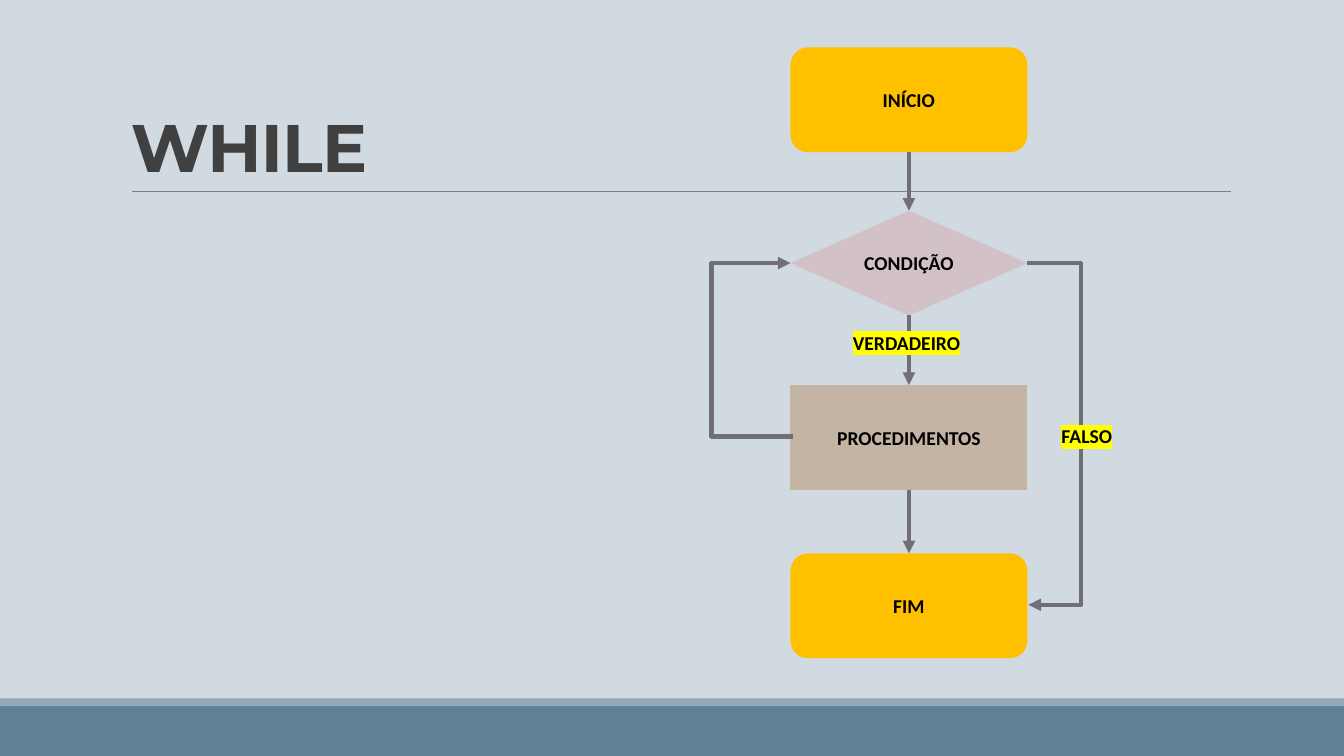
from dataclasses import dataclass
from typing import Optional

from lxml.etree import SubElement
from pptx import Presentation
from pptx.dml.color import RGBColor
from pptx.enum.shapes import MSO_CONNECTOR as Link, MSO_SHAPE as Shape
from pptx.enum.text import MSO_ANCHOR as Anchor, PP_ALIGN as Align
from pptx.oxml.ns import qn
from pptx.util import Inches, Pt


@dataclass(frozen=True)
class Theme:
    background: str = "D1D9E1"
    footer: str = "618197"
    footer_edge: str = "92A9B9"
    rule: str = "808080"
    title: str = "404040"
    ink: str = "000000"
    terminal: str = "FFC000"
    decision: str = "D2C2C7"
    process: str = "C4B4A3"
    arrow: str = "6F6F74"
    highlight: str = "FFFF00"
    title_font: str = "Montserrat"
    body_font: str = "Calibri"
    title_size: float = 48
    body_size: float = 14
    rule_width: float = 0.5
    arrow_width: float = 3


@dataclass(frozen=True)
class Step:
    text: str
    kind: Shape
    top: float
    color: str


@dataclass(frozen=True)
class Band:
    top: float
    height: float
    color: str


@dataclass(frozen=True)
class Label:
    text: str
    left: float
    top: float
    width: float


@dataclass(frozen=True)
class Detour:
    start: tuple[float, float]
    end: tuple[float, float]
    bend: float
    arrow_end: str


THEME = Theme()
WIDTH, HEIGHT = 13.33, 7.5
STEP_LEFT, STEP_WIDTH, STEP_HEIGHT = 7.84, 2.35, 1.04
LABEL_HEIGHT = 0.34
TOP, BOTTOM = 0, 2

BANDS = [Band(7, 0.5, THEME.footer), Band(6.93, 0.07, THEME.footer_edge)]
STEPS = [
    Step("INÍCIO", Shape.FLOWCHART_ALTERNATE_PROCESS, 0.47, THEME.terminal),
    Step("CONDIÇÃO", Shape.FLOWCHART_DECISION, 2.09, THEME.decision),
    Step("PROCEDIMENTOS", Shape.FLOWCHART_PROCESS, 3.82, THEME.process),
    Step("FIM", Shape.FLOWCHART_ALTERNATE_PROCESS, 5.49, THEME.terminal),
]
DETOURS = [
    Detour((10.19, 2.61), (10.2, 6), 10.73, "a:tailEnd"),
    Detour((7.84, 2.61), (7.86, 4.33), 7.06, "a:headEnd"),
]
LABELS = [Label("VERDADEIRO", 8.36, 3.23, 1.34), Label("FALSO", 10.43, 4.16, 0.76)]


def color_of(value: str) -> RGBColor:
    return RGBColor.from_string(value)


def write(box, text: str, align: Align, anchor: Anchor, color: str = THEME.ink,
          font: str = THEME.body_font, size: float = THEME.body_size):
    frame = box.text_frame
    frame.word_wrap = True
    frame.vertical_anchor = anchor
    para = frame.paragraphs[0]
    para.alignment = align
    span = para.add_run()
    span.text = text
    for name, value in {"name": font, "size": Pt(size), "bold": True}.items():
        setattr(span.font, name, value)
    span.font.color.rgb = color_of(color)
    return span


def draw_shape(page, kind: Shape, left: float, top: float, width: float,
               height: float, color: str):
    box = page.shapes.add_shape(kind, *map(Inches, (left, top, width, height)))
    box.shadow.inherit = False
    box.fill.solid()
    box.fill.fore_color.rgb = color_of(color)
    box.line.fill.background()
    return box


def draw_line(page, kind: Link, start: tuple[float, float], end: tuple[float, float],
              color: str, width: float, arrow_end: Optional[str] = None):
    line = page.shapes.add_connector(kind, *map(Inches, (*start, *end)))
    line.line.color.rgb = color_of(color)
    line.line.width = Pt(width)
    properties = line._element.spPr
    if arrow_end:
        SubElement(properties.find(qn("a:ln")), qn(arrow_end), type="triangle")
    SubElement(properties, qn("a:effectLst"))
    return line


def draw_step(page, step: Step):
    box = draw_shape(page, step.kind, STEP_LEFT, step.top, STEP_WIDTH, STEP_HEIGHT, step.color)
    write(box, step.text, Align.CENTER, Anchor.MIDDLE)
    return box


def draw_flow(page, upper, lower) -> None:
    center = STEP_LEFT + STEP_WIDTH / 2
    line = draw_line(page, Link.STRAIGHT, (center, 0), (center, 1),
                     THEME.arrow, THEME.arrow_width, "a:tailEnd")
    line.begin_connect(upper, BOTTOM)
    line.end_connect(lower, TOP)


def draw_detour(page, detour: Detour) -> None:
    line = draw_line(page, Link.ELBOW, detour.start, detour.end,
                     THEME.arrow, THEME.arrow_width, detour.arrow_end)
    ratio = (detour.bend - detour.start[0]) / (detour.end[0] - detour.start[0])
    geometry = line._element.spPr.find(qn("a:prstGeom"))
    guides = geometry.find(qn("a:avLst"))
    SubElement(guides, qn("a:gd"), name="adj1", fmla=f"val {round(ratio * 100000)}")


def draw_label(page, label: Label) -> None:
    box = page.shapes.add_textbox(
        *map(Inches, (label.left, label.top, label.width, LABEL_HEIGHT)))
    span = write(box, label.text, Align.LEFT, Anchor.TOP)
    properties = span.font._element
    highlight = SubElement(properties, qn("a:highlight"))
    SubElement(highlight, qn("a:srgbClr"), val=THEME.highlight)
    properties.find(qn("a:solidFill")).addnext(highlight)


def draw_title(page, text: str) -> None:
    box = page.shapes.add_textbox(*map(Inches, (1.2, 0.31, 11, 1.59)))
    span = write(box, text, Align.LEFT, Anchor.BOTTOM, THEME.title,
                 THEME.title_font, THEME.title_size)
    span.font._element.set("spc", "-50")
    box.text_frame.paragraphs[0].line_spacing = 0.85


def main() -> None:
    deck = Presentation()
    deck.slide_width, deck.slide_height = Inches(WIDTH), Inches(HEIGHT)
    page = deck.slides.add_slide(deck.slide_layouts[6])
    page.background.fill.solid()
    page.background.fill.fore_color.rgb = color_of(THEME.background)
    for band in BANDS:
        draw_shape(page, Shape.RECTANGLE, 0, band.top, WIDTH, band.height, band.color)
    draw_line(page, Link.STRAIGHT, (1.31, 1.9), (12.21, 1.9), THEME.rule, THEME.rule_width)
    draw_title(page, "WHILE")
    boxes = [draw_step(page, step) for step in STEPS]
    for upper, lower in zip(boxes, boxes[1:]):
        draw_flow(page, upper, lower)
    for detour in DETOURS:
        draw_detour(page, detour)
    for label in LABELS:
        draw_label(page, label)
    deck.save("out.pptx")


if __name__ == "__main__":
    main()
